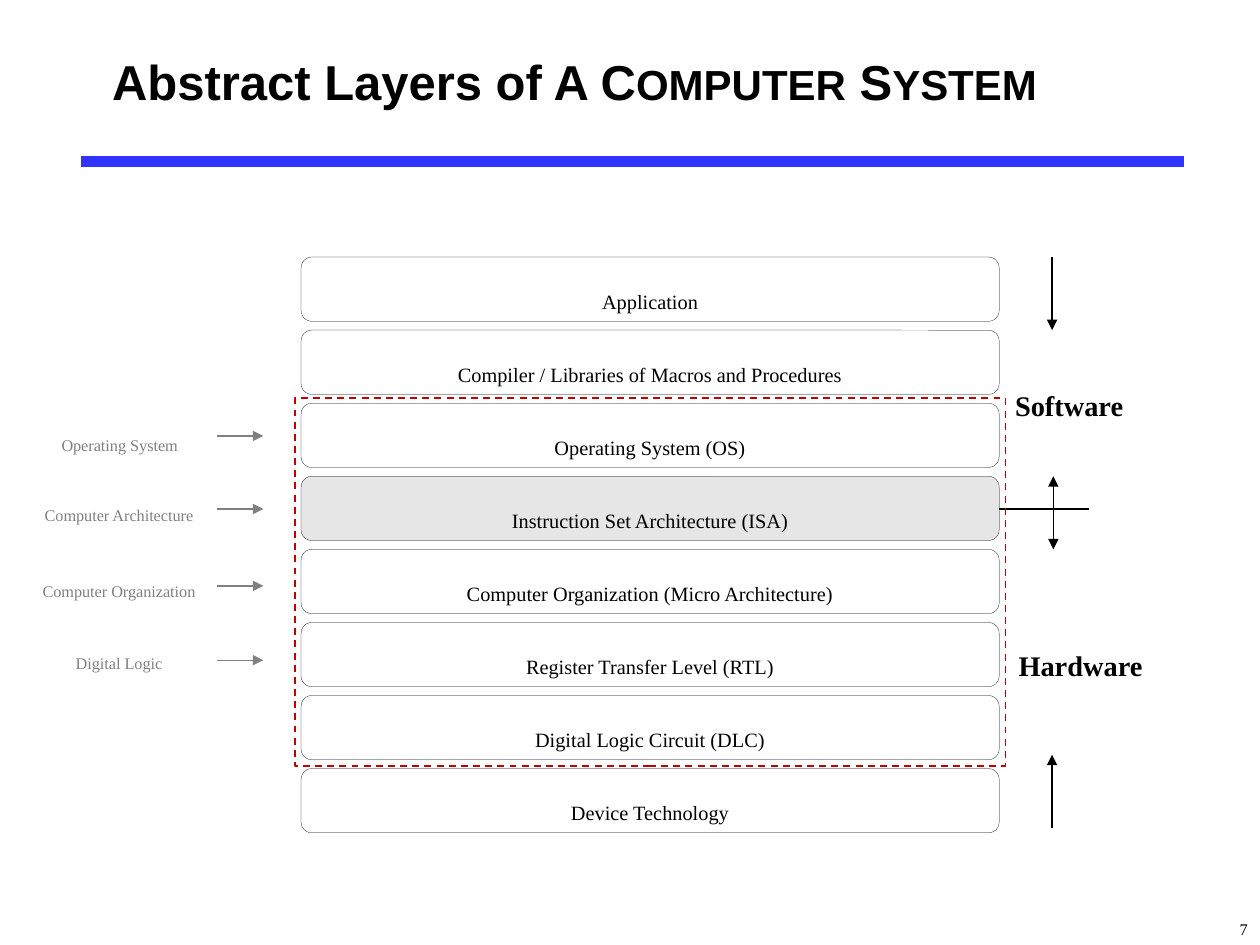
from lxml import etree
from pptx import Presentation
from pptx import util as u
from pptx.dml.color import RGBColor
from pptx.enum import dml, shapes, text
from pptx.oxml import ns

COLORS = {"black": "000000", "white": "FFFFFF", "blue": "3333FF",
          "red": "C00000", "gray": "808080", "highlight": "E6E6E6"}


def write_text(box, words, size=20, color="black", bold=False,
               align=text.PP_ALIGN.CENTER, anchor=text.MSO_ANCHOR.MIDDLE):
    box.text_frame.word_wrap = True
    box.text_frame.vertical_anchor = anchor
    para = box.text_frame.paragraphs[0]
    para.alignment = align
    span = para.add_run()
    span.text = words
    span.font.name = "Times New Roman"
    span.font.size = u.Pt(size)
    span.font.bold = bold
    span.font.color.rgb = RGBColor.from_string(COLORS[color])
    span._r.get_or_add_rPr().set("baseline", "-25000")


def draw_line(page, start, end, color="black", width=0.75, ends=()):
    line = page.shapes.add_connector(
        shapes.MSO_CONNECTOR.STRAIGHT, *[u.Inches(v) for v in (*start, *end)])
    line.line.color.rgb = RGBColor.from_string(COLORS[color])
    line.line.width = u.Pt(width)
    for name in ends:
        etree.SubElement(line.line._get_or_add_ln(), ns.qn(f"a:{name}"), type="triangle")
    etree.SubElement(line._element.spPr, ns.qn("a:effectLst"))


deck = Presentation()
deck.slide_width, deck.slide_height = u.Inches(10), u.Inches(7.5)
page = deck.slides.add_slide(deck.slide_layouts[5])

draw_line(page, (0.64, 1.28), (9.4, 1.28), color="blue", width=6)

number = page.shapes.add_textbox(u.Inches(7.9), u.Inches(7.12), u.Inches(2.1), u.Inches(0.38))
write_text(number, "7", size=16, align=text.PP_ALIGN.RIGHT, anchor=text.MSO_ANCHOR.BOTTOM)

title = page.shapes.title
title.left, title.top = u.Inches(0.79), u.Inches(0.08)
title.width, title.height = u.Inches(8.5), u.Inches(1.12)
title.text_frame.vertical_anchor = text.MSO_ANCHOR.MIDDLE
para = title.text_frame.paragraphs[0]
para.alignment = text.PP_ALIGN.LEFT
for words, size in [("Abstract Layers of A C", 28), ("OMPUTER", 24), (" S", 28), ("YSTEM", 24)]:
    span = para.add_run()
    span.text = words
    span.font.name = "Arial"
    span.font.size = u.Pt(size)
    span.font.bold = True
    span.font.color.rgb = RGBColor.from_string(COLORS["black"])

LAYERS = ["Application", "Compiler / Libraries of Macros and Procedures",
          "Operating System (OS)", "Instruction Set Architecture (ISA)",
          "Computer Organization (Micro Architecture)", "Register Transfer Level (RTL)",
          "Digital Logic Circuit (DLC)", "Device Technology"]
for row, words in enumerate(LAYERS):
    layer = page.shapes.add_shape(
        shapes.MSO_SHAPE.ROUNDED_RECTANGLE,
        u.Inches(2.39), u.Inches(2.04 + 0.58 * row), u.Inches(5.54), u.Inches(0.51))
    layer.shadow.inherit = False
    layer.fill.solid()
    fill = "highlight" if "ISA" in words else "white"
    layer.fill.fore_color.rgb = RGBColor.from_string(COLORS[fill])
    layer.line.color.rgb = RGBColor.from_string(COLORS["black"])
    layer.line.width = u.Pt(0.13)
    write_text(layer, words)

draw_line(page, (7.93, 4.04), (8.64, 4.04))
for x, top, ends in [(8.35, 2.04, ["tailEnd"]),
                     (8.36, 3.78, ["headEnd", "tailEnd"]),
                     (8.35, 5.99, ["headEnd"])]:
    draw_line(page, (x, top), (x, top + 0.58), ends=ends)

for words, top, width in [("Software", 2.88, 1.31), ("Hardware", 4.94, 1.49)]:
    label = page.shapes.add_textbox(
        u.Inches(7.83), u.Inches(top), u.Inches(width), u.Inches(0.41))
    write_text(label, words, size=28, bold=True)

frame = page.shapes.add_shape(
    shapes.MSO_SHAPE.RECTANGLE, u.Inches(2.34), u.Inches(3.16), u.Inches(5.64), u.Inches(2.92))
frame.shadow.inherit = False
frame.fill.background()
frame.line.color.rgb = RGBColor.from_string(COLORS["red"])
frame.line.width = u.Pt(1)
frame.line.dash_style = dml.MSO_LINE.DASH

COURSES = [("Operating System", 0.07, 3.2, 1.76, 0.51, 3.46),
           ("Computer Architecture", -0.07, 3.76, 2.03, 0.51, 4.04),
           ("Computer Organization", -0.07, 4.34, 2.03, 0.55, 4.65),
           ("Digital Logic", -0.07, 4.93, 2.03, 0.52, 5.24)]
for words, left, top, width, height, arrow_y in COURSES:
    course = page.shapes.add_textbox(
        u.Inches(left), u.Inches(top), u.Inches(width), u.Inches(height))
    write_text(course, words, size=16, color="gray")
    draw_line(page, (1.72, arrow_y), (2.09, arrow_y), color="gray", ends=["tailEnd"])

deck.save("out.pptx")
